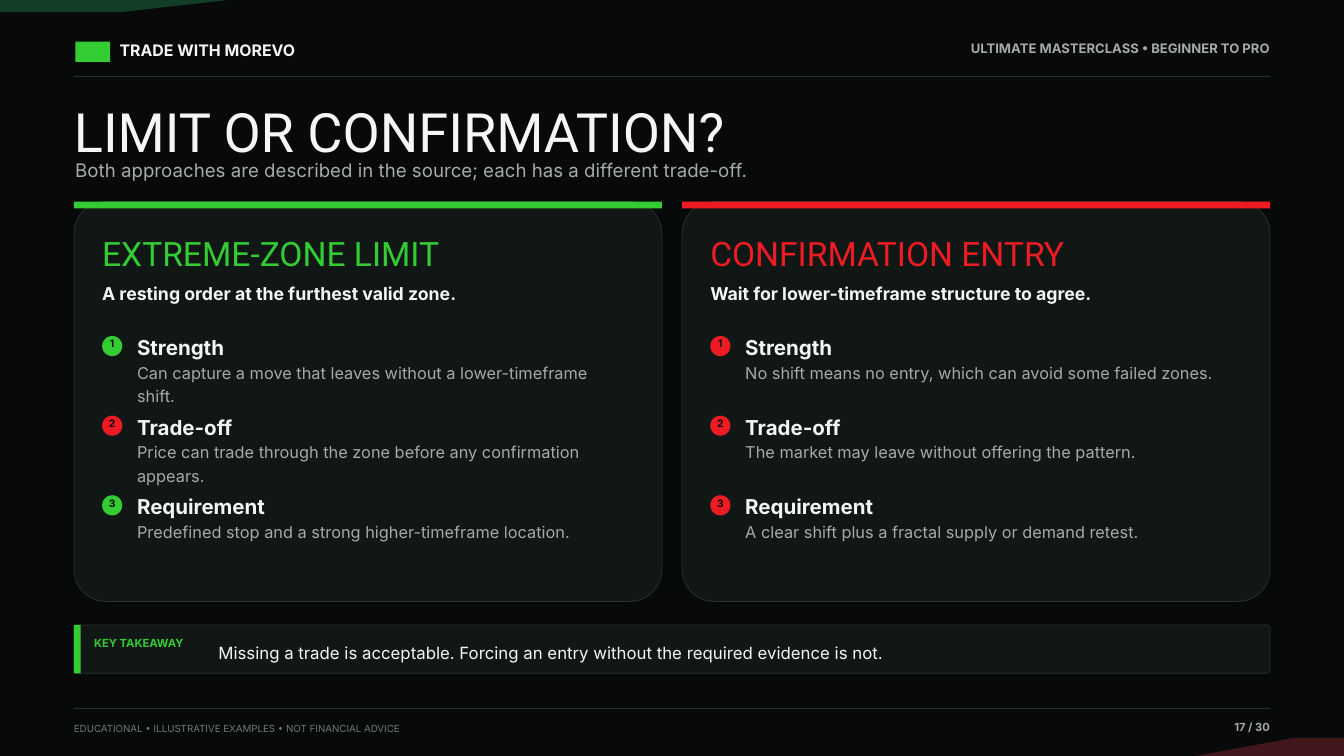
"""Build the slide comparing a limit order with a confirmation entry."""
from lxml.etree import SubElement
from pptx import Presentation
from pptx.dml.color import RGBColor
from pptx.enum.shapes import MSO_CONNECTOR, MSO_SHAPE
from pptx.enum.text import MSO_ANCHOR, MSO_AUTO_SIZE, PP_ALIGN
from pptx.oxml.ns import qn
from pptx.util import Inches, Pt

COLORS = {
    "background": "070A09", "panel": "111715", "rule": "28332E",
    "green": "33CC33", "red": "ED1C24", "white": "F5F7F6",
    "grey": "A6AAA8", "dim": "6F7873",
    "dark green": "123D26", "dark red": "42171B",
}
LEFT, WIDTH = 1.1, 17.8
RIGHT = LEFT + WIDTH

presentation = Presentation()
presentation.slide_width = Inches(20)
presentation.slide_height = Inches(11.25)
slide = presentation.slides.add_slide(presentation.slide_layouts[5])
slide.background.fill.solid()
slide.background.fill.fore_color.rgb = RGBColor.from_string(COLORS["background"])


def add_text(text, left, top, width, height, size=18, color="white", font="Inter",
             bold=False, align=PP_ALIGN.LEFT, anchor=MSO_ANCHOR.TOP, spacing=1.18,
             placeholder=None):
    position = [Inches(value) for value in (left, top, width, height)]
    shape = placeholder or slide.shapes.add_textbox(*position)
    shape.left, shape.top, shape.width, shape.height = position
    frame = shape.text_frame
    frame.text = text
    frame.word_wrap = True
    frame.auto_size = MSO_AUTO_SIZE.NONE
    frame.vertical_anchor = anchor
    frame.margin_left = frame.margin_right = frame.margin_top = frame.margin_bottom = 0
    for paragraph in frame.paragraphs:
        paragraph.alignment = align
        paragraph.line_spacing = spacing
        paragraph.font.name = font
        paragraph.font.size = Pt(size)
        paragraph.font.bold = bold
        paragraph.font.color.rgb = RGBColor.from_string(COLORS[color])


def add_block(kind, left, top, width, height, fill, outline=None):
    shape = slide.shapes.add_shape(
        kind, Inches(left), Inches(top), Inches(width), Inches(height))
    shape.shadow.inherit = False
    shape.fill.solid()
    shape.fill.fore_color.rgb = RGBColor.from_string(COLORS[fill])
    if kind == MSO_SHAPE.ROUNDED_RECTANGLE:
        shape.adjustments[0] = 0.08
    if outline:
        shape.line.color.rgb = RGBColor.from_string(COLORS[outline])
        shape.line.width = Pt(0.8)
    else:
        shape.line.fill.background()


corners = [
    ("dark green", [(0, 0), (3.4, 0), (1.8, 0.18), (0, 0.18)]),
    ("dark red", [(20, 11.25), (17.8, 11.25), (19.25, 10.98), (20, 10.98)]),
]
for color, points in corners:
    points = [(Inches(x), Inches(y)) for x, y in points]
    builder = slide.shapes.build_freeform(*points[0])
    builder.add_line_segments(points[1:], close=True)
    corner = builder.convert_to_shape()
    corner.shadow.inherit = False
    corner.fill.solid()
    corner.fill.fore_color.rgb = RGBColor.from_string(COLORS[color])
    corner.line.fill.background()

for height in (1.13, 10.54):
    rule = slide.shapes.add_connector(
        MSO_CONNECTOR.STRAIGHT, Inches(LEFT), Inches(height), Inches(RIGHT), Inches(height))
    rule.line.color.rgb = RGBColor.from_string(COLORS["rule"])
    rule.line.width = Pt(0.8)
    SubElement(rule._element.spPr, qn("a:effectLst"))

add_block(MSO_SHAPE.RECTANGLE, 1.12, 0.62, 0.52, 0.3, "green")
add_text("TRADE WITH MOREVO", 1.78, 0.56, 3.9, 0.34, size=17, bold=True)
add_text("ULTIMATE MASTERCLASS • BEGINNER TO PRO", 14, 0.56, 4.9, 0.32,
         size=14, color="grey", bold=True, align=PP_ALIGN.RIGHT)
add_text("EDUCATIONAL • ILLUSTRATIVE EXAMPLES • NOT FINANCIAL ADVICE",
         LEFT, 10.72, 8, 0.25, size=10.5, color="dim")
add_text("17 / 30", 17.2, 10.68, 1.7, 0.28,
         size=12, color="grey", bold=True, align=PP_ALIGN.RIGHT)

add_text("LIMIT OR CONFIRMATION?", LEFT, 1.46, WIDTH, 0.88,
         size=58, font="Roboto", spacing=1.0, placeholder=slide.shapes.title)
add_text("Both approaches are described in the source; each has a different trade-off.",
         1.12, 2.3, 17.2, 0.43, size=20, color="grey")

cards = [
    ("EXTREME-ZONE LIMIT", "A resting order at the furthest valid zone.", "green", [
        ("Strength", "green",
         "Can capture a move that leaves without a lower-timeframe\nshift."),
        ("Trade-off", "red",
         "Price can trade through the zone before any confirmation\nappears."),
        ("Requirement", "green",
         "Predefined stop and a strong higher-timeframe location."),
    ]),
    ("CONFIRMATION ENTRY", "Wait for lower-timeframe structure to agree.", "red", [
        ("Strength", "red", "No shift means no entry, which can avoid some failed zones."),
        ("Trade-off", "red", "The market may leave without offering the pattern."),
        ("Requirement", "red", "A clear shift plus a fractal supply or demand retest."),
    ]),
]
CARD_WIDTH, CARD_GAP, ROW_PITCH = 8.75, 0.3, 1.185
for column, (heading, summary, accent, points) in enumerate(cards):
    card_left = LEFT + column * (CARD_WIDTH + CARD_GAP)
    inner = card_left + 0.42
    add_block(MSO_SHAPE.ROUNDED_RECTANGLE, card_left, 3, CARD_WIDTH, 5.95, "panel", "rule")
    add_block(MSO_SHAPE.RECTANGLE, card_left, 3, CARD_WIDTH, 0.1, accent)
    add_text(heading, inner, 3.36, 7.9, 0.68, size=36, color=accent, font="Roboto")
    add_text(summary, inner, 4.15, 7.9, 0.52, size=19, bold=True)
    for row, (label, marker, detail) in enumerate(points):
        top = 5 + row * ROW_PITCH
        add_block(MSO_SHAPE.OVAL, inner, top, 0.3, 0.3, marker)
        add_text(str(row + 1), inner + 0.02, top - 0.01, 0.26, 0.23,
                 size=11, color="background", bold=True, align=PP_ALIGN.CENTER)
        add_text(label, inner + 0.52, top - 0.08, 7.33, 0.36, size=22, bold=True)
        add_text(detail, inner + 0.52, top + 0.35, 7.33, 0.7, size=17.5, color="grey")

add_block(MSO_SHAPE.ROUNDED_RECTANGLE, LEFT, 9.3, WIDTH, 0.72, "panel", "rule")
add_block(MSO_SHAPE.RECTANGLE, LEFT, 9.3, 0.1, 0.72, "green")
add_text("KEY TAKEAWAY", 1.4, 9.43, 1.85, 0.26, size=12, color="green", bold=True)
add_text("Missing a trade is acceptable. Forcing an entry without the required evidence is not.",
         3.25, 9.4, 15.38, 0.56, anchor=MSO_ANCHOR.MIDDLE)

presentation.save("out.pptx")
